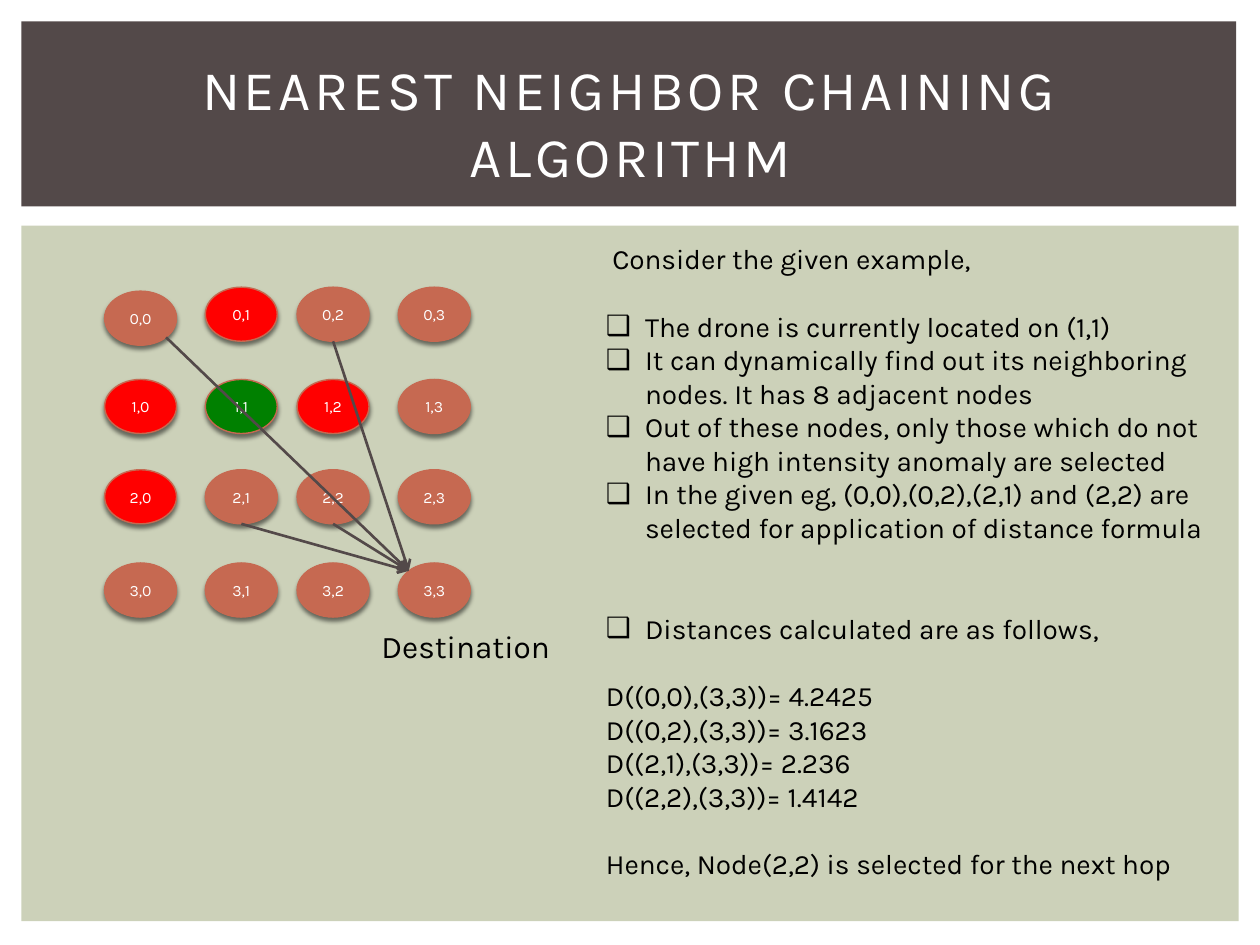
"""Build the nearest neighbor chaining slide."""
from pptx import Presentation
from pptx.dml.color import RGBColor
from pptx.enum.shapes import MSO_CONNECTOR, MSO_SHAPE
from pptx.enum.text import MSO_ANCHOR, MSO_AUTO_SIZE, PP_ALIGN
from pptx.oxml import parse_xml
from pptx.oxml.ns import nsdecls, qn
from pptx.oxml.xmlchemy import OxmlElement
from pptx.util import Cm, Pt

RECT, OVAL = MSO_SHAPE.RECTANGLE, MSO_SHAPE.OVAL
STRAIGHT = MSO_CONNECTOR.STRAIGHT
MIDDLE, TOP = MSO_ANCHOR.MIDDLE, MSO_ANCHOR.TOP
NO_FIT, GROW = MSO_AUTO_SIZE.NONE, MSO_AUTO_SIZE.SHAPE_TO_FIT_TEXT
LEFT, CENTER = PP_ALIGN.LEFT, PP_ALIGN.CENTER

FONT = "Karla"
COLORS = {
    "panel": "CCD1B9", "dark": "534949", "white": "FFFFFF", "black": "000000",
    "node": "C66951", "node_edge": "B8624B", "anomaly": "FF0000", "drone": "008000",
}
COLUMNS = [2.11, 4.14, 5.99, 8.03]
ROWS = [5.79, 7.65, 9.47, 11.35]
NODE_W, NODE_H = 1.45, 1.09
NODE_FILLS = {(0, 1): "anomaly", (1, 0): "anomaly", (1, 2): "anomaly",
              (2, 0): "anomaly", (1, 1): "drone"}
TOP_LEFT, BOTTOM_RIGHT, BOTTOM = (0.146, 0.146), (0.854, 0.854), (0.5, 1)
ARROWS = [((0, 0), BOTTOM_RIGHT), ((0, 2), BOTTOM), ((2, 2), BOTTOM), ((2, 1), BOTTOM)]
LINE = 19.2
INTRO, BULLET, PLAIN = (0.13, 0), (0.79, -0.79), (0, 0)
NOTES = [
    ("Consider the given example,", INTRO, 0),
    ("The drone is currently located on (1,1)", BULLET, 1),
    ("It can dynamically find out its neighboring nodes. It has 8 adjacent nodes", BULLET, 0),
    ("Out of these nodes, only those which do not have high intensity anomaly are selected",
     BULLET, 0),
    ("In the given eg, (0,0),(0,2),(2,1) and (2,2) are selected for application of "
     "distance formula", BULLET, 0),
    ("Distances calculated are as follows,", BULLET, 2),
    ("D((0,0),(3,3))= 4.2425", PLAIN, 1),
    ("D((0,2),(3,3))= 3.1623", PLAIN, 0),
    ("D((2,1),(3,3))= 2.236", PLAIN, 0),
    ("D((2,2),(3,3))= 1.4142", PLAIN, 0),
    ("Hence, Node(2,2) is selected for the next hop", PLAIN, 1),
]


def rgb(name):
    """Return the named colour."""
    return RGBColor.from_string(COLORS[name])


def write(p, text, size=16, color="black", align=LEFT, before=0, spacing=0):
    """Write formatted text into a paragraph."""
    p.alignment = align
    p.space_before = Pt(before)
    r = p.add_run()
    r.text = text
    r.font.name, r.font.size = FONT, Pt(size)
    r.font.color.rgb = rgb(color)
    if spacing:
        r.font._element.set("spc", str(spacing * 100))


class SlideBuilder:
    """Hold the style and the current slide."""

    def __init__(self, prs):
        """Add a title and content slide."""
        self.s = prs.slides.add_slide(prs.slide_layouts[1])

    def panel(self, x, y, w, h, color):
        """Add a plain background rectangle."""
        sp = self.s.shapes.add_shape(RECT, Cm(x), Cm(y), Cm(w), Cm(h))
        sp.shadow.inherit = False
        sp.fill.solid()
        sp.fill.fore_color.rgb = rgb(color)
        sp.line.fill.background()

    def placeholder(self, idx, x, y, w, h, anchor):
        """Place a placeholder in front and return its text frame."""
        sp = self.s.placeholders[idx]
        sp.left, sp.top, sp.width, sp.height = Cm(x), Cm(y), Cm(w), Cm(h)
        sp.element.getparent().append(sp.element)
        tf = sp.text_frame
        tf.auto_size, tf.vertical_anchor, tf.word_wrap = NO_FIT, anchor, True
        return tf

    def title(self, text, *box):
        """Fill the title placeholder."""
        tf = self.placeholder(0, *box, MIDDLE)
        write(tf.paragraphs[0], text, size=32, color="white", align=CENTER, spacing=2)

    def notes(self, items, *box):
        """Fill the body placeholder with indented paragraphs."""
        tf = self.placeholder(1, *box, TOP)
        for i, (text, indent, gap) in enumerate(items):
            p = tf.add_paragraph() if i else tf.paragraphs[0]
            pPr = p._p.get_or_add_pPr()
            pPr.set("marL", str(Cm(indent[0])))
            pPr.set("indent", str(Cm(indent[1])))
            bullet = OxmlElement("a:buChar" if indent == BULLET else "a:buNone")
            if indent == BULLET:
                bullet.set("char", "❑")
            pPr.append(bullet)
            write(p, text, before=gap * LINE)

    def label(self, text, x, y, w, h, **fmt):
        """Add a text box."""
        tf = self.s.shapes.add_textbox(Cm(x), Cm(y), Cm(w), Cm(h)).text_frame
        tf.word_wrap, tf.auto_size = True, GROW
        write(tf.paragraphs[0], text, **fmt)

    def node(self, text, x, y, color=None):
        """Add a shadowed grid node."""
        sp = self.s.shapes.add_shape(OVAL, Cm(x), Cm(y), Cm(NODE_W), Cm(NODE_H))
        spPr = sp.element.spPr
        if color:
            sp.fill.solid()
            sp.fill.fore_color.rgb = rgb(color)
        else:
            stops = "".join(
                f'<a:gs pos="{pos}000"><a:srgbClr val="{COLORS[name]}"/></a:gs>'
                for pos, name in [(0, "node"), (90, "node"), (100, "node_edge")])
            spPr.append(parse_xml(
                f'<a:gradFill {nsdecls("a")}><a:gsLst>{stops}</a:gsLst><a:path path="circle">'
                '<a:fillToRect l="100000" t="100000" r="100000" b="100000"/>'
                '</a:path></a:gradFill>'))
        sp.line.color.rgb, sp.line.width = rgb("node"), Pt(0.79)
        sp.shadow.inherit = False
        spPr.find(qn("a:effectLst")).append(parse_xml(
            f'<a:outerShdw {nsdecls("a")} blurRad="{Pt(2.5)}" dist="{Pt(2)}" dir="5400000" '
            f'rotWithShape="0"><a:srgbClr val="{COLORS["black"]}"><a:alpha val="50000"/>'
            '</a:srgbClr></a:outerShdw>'))
        tf = sp.text_frame
        tf.margin_left = tf.margin_right = tf.margin_top = tf.margin_bottom = 0
        tf.vertical_anchor = MIDDLE
        write(tf.paragraphs[0], text, size=9, color="white", align=CENTER)
        return sp

    def arrow(self, start, start_site, end, end_site):
        """Connect sites of two nodes with an arrow."""
        points = [value for sp, (fx, fy) in ((start, start_site), (end, end_site))
                  for value in (int(sp.left + fx * sp.width), int(sp.top + fy * sp.height))]
        c = self.s.shapes.add_connector(STRAIGHT, *points)
        c.line.color.rgb, c.line.width = rgb("dark"), Pt(1.5)
        tail = OxmlElement("a:tailEnd")
        tail.set("type", "arrow")
        c.line._get_or_add_ln().append(tail)
        c._element.spPr.append(OxmlElement("a:effectLst"))


def main():
    """Build and save the presentation."""
    prs = Presentation()
    prs.slide_width, prs.slide_height = Cm(25.4), Cm(19.05)
    b = SlideBuilder(prs)
    b.panel(0.43, 4.55, 24.54, 14.02, "panel")
    b.panel(0.43, 0.43, 24.49, 3.73, "dark")
    b.title("NEAREST NEIGHBOR CHAINING ALGORITHM", 1.07, 0.99, 23.29, 2.92)
    nodes = {}
    for row, y in enumerate(ROWS):
        for col, x in enumerate(COLUMNS):
            drop = 0.08 if (row, col) == (0, 0) else 0
            nodes[row, col] = b.node(f"{row},{col}", x, y + drop, NODE_FILLS.get((row, col)))
    b.label("Destination", 7.44, 12.52, 4.19, 1.02, size=18)
    b.notes(NOTES, 11.96, 4.75, 12.7, 13.26)
    for start, site in ARROWS:
        b.arrow(nodes[start], site, nodes[3, 3], TOP_LEFT)
    prs.save("out.pptx")


if __name__ == "__main__":
    main()
